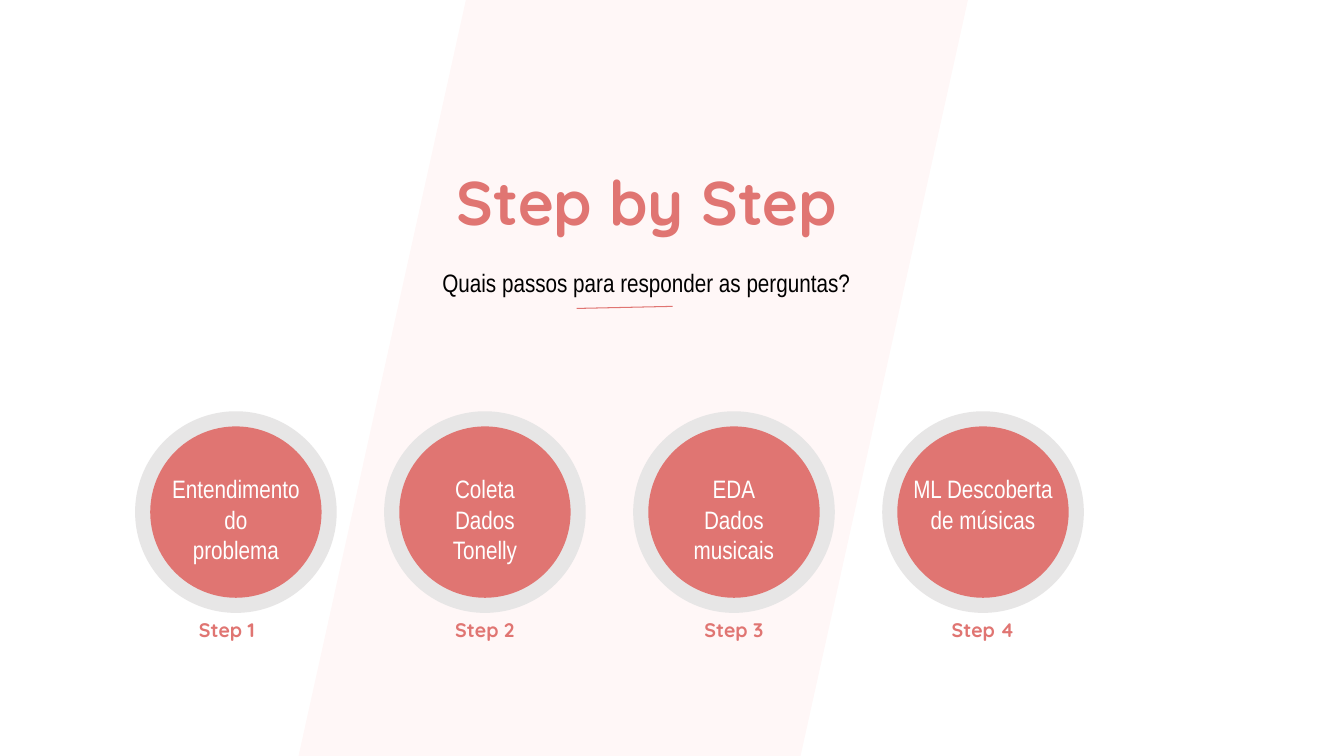
from dataclasses import dataclass

from lxml import etree
from pptx import Presentation
from pptx.dml.color import RGBColor
from pptx.enum.shapes import MSO_CONNECTOR, MSO_SHAPE
from pptx.enum.text import MSO_ANCHOR, MSO_AUTO_SIZE, PP_ALIGN
from pptx.oxml.ns import qn
from pptx.util import Inches, Pt

PARALLELOGRAM, OVAL = MSO_SHAPE.PARALLELOGRAM, MSO_SHAPE.OVAL
STRAIGHT = MSO_CONNECTOR.STRAIGHT
CENTER, TOP, NO_AUTOFIT = PP_ALIGN.CENTER, MSO_ANCHOR.TOP, MSO_AUTO_SIZE.NONE

SLIDE_WIDTH, SLIDE_HEIGHT = Inches(13.33), Inches(7.5)
COLORS = {
    "coral": "E07572",
    "ring": "E7E6E6",
    "band": "FF0000",
    "black": "000000",
    "white": "FFFFFF",
}
HEADING_FONT, BODY_FONT = "Quicksand", "Arial Narrow"

# All positions and sizes are percentages of the slide's width or height.
FIRST_CENTER, STEP_PITCH = 17.55, 18.53
RING_TOP, RING_WIDTH, RING_HEIGHT = 54.4, 15.0, 26.67
DISC_SHARE = 0.85
CAPTION_TOP, CAPTION_HEIGHT = 62.0, 13.6
LABEL_TOP, LABEL_WIDTH, LABEL_HEIGHT = 81.07, 11.7, 4.53


@dataclass(frozen=True)
class Box:
    left: float
    top: float
    width: float
    height: float

    def lengths(self) -> tuple:
        return (across(self.left), down(self.top),
                across(self.width), down(self.height))


@dataclass(frozen=True)
class TextStyle:
    font: str
    size: float
    color: str
    bold: bool = False
    line_spacing: float = 1.0


@dataclass(frozen=True)
class Step:
    label: str
    caption: tuple
    caption_width: float
    label_shift: float = 0.0


TITLE_STYLE = TextStyle(HEADING_FONT, 44, "coral", True, 0.95)
SUBTITLE_STYLE = TextStyle(BODY_FONT, 18, "black", line_spacing=1.43)
CAPTION_STYLE = TextStyle(BODY_FONT, 18, "white")
LABEL_STYLE = TextStyle(HEADING_FONT, 14, "coral", True)

STEPS = (
    Step("Step 1", ("Entendimento", "do", "problema"), 15.0, -0.67),
    Step("Step 2", ("Coleta", "Dados", "Tonelly"), 12.75),
    Step("Step 3", ("EDA", "Dados musicais"), 8.7),
    Step("Step 4", ("ML Descoberta de músicas",), 12.75),
)


def across(percent: float) -> int:
    return round(SLIDE_WIDTH * percent / 100)


def down(percent: float) -> int:
    return round(SLIDE_HEIGHT * percent / 100)


def centered_box(center: float, top: float, width: float, height: float) -> Box:
    return Box(center - width / 2, top, width, height)


def color(name: str) -> RGBColor:
    return RGBColor.from_string(COLORS[name])


def place(shape, box: Box) -> None:
    shape.left, shape.top, shape.width, shape.height = box.lengths()


def write(shape, lines: tuple, style: TextStyle) -> None:
    frame = shape.text_frame
    frame.word_wrap = True
    frame.auto_size = NO_AUTOFIT
    frame.vertical_anchor = TOP
    for index, line in enumerate(lines):
        paragraph = frame.add_paragraph() if index else frame.paragraphs[0]
        paragraph.alignment = CENTER
        paragraph.line_spacing = style.line_spacing
        run = paragraph.add_run()
        run.text = line
        run.font.name = style.font
        run.font.size = Pt(style.size)
        run.font.bold = style.bold
        run.font.color.rgb = color(style.color)


def add_text(shapes, box: Box, lines: tuple, style: TextStyle) -> None:
    write(shapes.add_textbox(*box.lengths()), lines, style)


def add_filled(shapes, kind, box: Box, fill: str):
    shape = shapes.add_shape(kind, *box.lengths())
    shape.shadow.inherit = False
    shape.fill.solid()
    shape.fill.fore_color.rgb = color(fill)
    shape.line.fill.background()
    return shape


def add_title(slide) -> None:
    title = slide.shapes.title
    place(title, Box(24.46, 21.73, 46.59, 11.2))
    write(title, ("Step by Step",), TITLE_STYLE)
    properties = title.text_frame.paragraphs[0]._p.get_or_add_pPr()
    properties.set("marL", str(Inches(0.1)))
    properties.set("indent", "0")


def add_band(slide) -> None:
    """Add the pale slanted band behind the title."""
    band = add_filled(slide.shapes, PARALLELOGRAM, Box(22.21, 0, 49.81, 100), "band")
    band.adjustments[0] = 0.25
    fill_color = next(band._element.spPr.iter(qn("a:srgbClr")))
    etree.SubElement(fill_color, qn("a:alpha")).set("val", "3000")
    slide.shapes.title._element.addprevious(band._element)


def add_underline(slide) -> None:
    line = slide.shapes.add_connector(
        STRAIGHT, across(42.91), down(40.8), across(50.04), down(40.53))
    line.line.color.rgb = color("coral")
    line.line.width = Pt(0.75)
    etree.SubElement(line._element.spPr, qn("a:effectLst"))


def add_step(slide, step: Step, center: float) -> None:
    shapes = slide.shapes.add_group_shape().shapes
    ring = centered_box(center, RING_TOP, RING_WIDTH, RING_HEIGHT)
    disc_top = RING_TOP + RING_HEIGHT * (1 - DISC_SHARE) / 2
    disc = centered_box(center, disc_top,
                        RING_WIDTH * DISC_SHARE, RING_HEIGHT * DISC_SHARE)
    add_filled(shapes, OVAL, ring, "ring")
    add_filled(shapes, OVAL, disc, "coral")
    caption = centered_box(center, CAPTION_TOP, step.caption_width, CAPTION_HEIGHT)
    add_text(shapes, caption, step.caption, CAPTION_STYLE)
    label = centered_box(center + step.label_shift, LABEL_TOP, LABEL_WIDTH, LABEL_HEIGHT)
    add_text(slide.shapes, label, (step.label,), LABEL_STYLE)


def main() -> None:
    presentation = Presentation()
    presentation.slide_width, presentation.slide_height = SLIDE_WIDTH, SLIDE_HEIGHT
    title_only = presentation.slide_layouts.get_by_name("Title Only")
    slide = presentation.slides.add_slide(title_only)
    add_title(slide)
    add_band(slide)
    add_text(slide.shapes, Box(29.86, 32.93, 36.46, 5.87),
             ("Quais passos para responder as perguntas?",), SUBTITLE_STYLE)
    add_underline(slide)
    for index, step in enumerate(STEPS):
        add_step(slide, step, FIRST_CENTER + index * STEP_PITCH)
    presentation.save("out.pptx")


if __name__ == "__main__":
    main()
